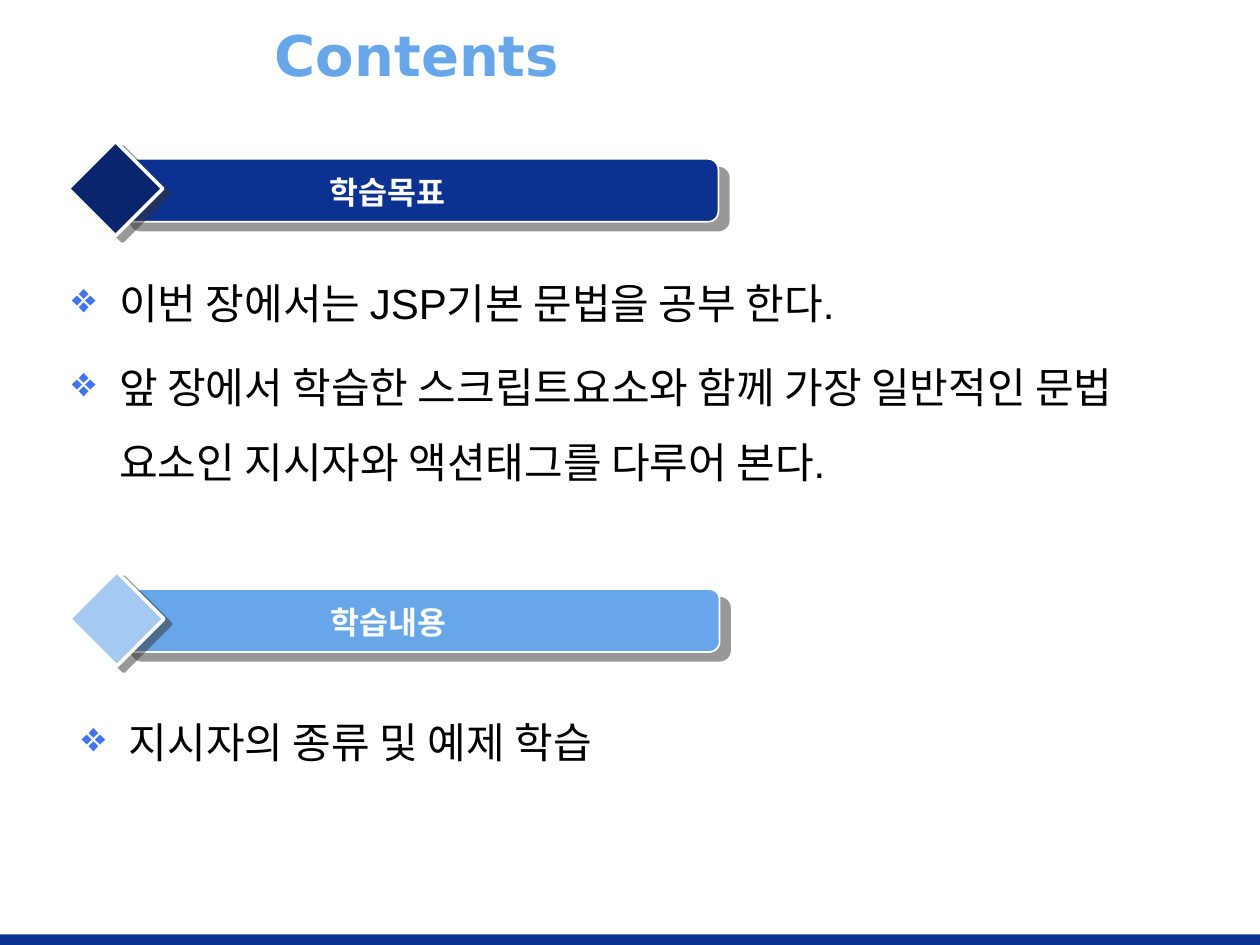
from lxml.etree import SubElement
from pptx import Presentation
from pptx.dml.color import RGBColor
from pptx.enum.shapes import MSO_SHAPE
from pptx.enum.text import MSO_ANCHOR, MSO_AUTO_SIZE, PP_ALIGN
from pptx.oxml.ns import qn
from pptx.util import Pt

HUES = {
    "navy": "0B3191",
    "dark": "08256D",
    "sky": "68A6EA",
    "pale": "A4CAF2",
    "mark": "4173F1",
    "shade": "333333",
    "white": "FFFFFF",
    "black": "000000",
}
TITLE = {"size": Pt(32), "name": "DejaVu Sans", "bold": True}
LABEL = {"size": Pt(18), "name": "Arial", "bold": True}
BODY = {"size": Pt(24), "name": "Arial"}
SPACE = {"line_spacing": 1.5, "space_before": Pt(4.8)}
WRAP = {"word_wrap": True}


def style(item, values):
    for key, value in values.items():
        setattr(item, key, value)


def tint(hue):
    return RGBColor.from_string(HUES[hue])


def write(para, text, font, hue):
    run = para.add_run()
    run.text = text
    style(run.font, font)
    run.font.color.rgb = tint(hue)


def add_text(shapes, box, frame):
    body = shapes.add_textbox(*map(Pt, box)).text_frame
    style(body, frame)
    return body


def add_form(shapes, kind, box, hue, edge=0):
    form = shapes.add_shape(kind, *map(Pt, box))
    form.shadow.inherit = False
    form.fill.solid()
    form.fill.fore_color.rgb = tint(hue)
    if edge:
        form.line.color.rgb = tint("white")
        form.line.width = Pt(edge)
    else:
        form.line.fill.background()
    return form


def add_shade(form, reach, angle):
    effects = form._element.spPr.find(qn("a:effectLst"))
    outer = SubElement(effects, qn("a:outerShdw"), blurRad="0",
                       dist=str(Pt(reach)), dir=str(angle * 60000),
                       algn="ctr", rotWithShape="0")
    color = SubElement(outer, qn("a:srgbClr"), val=HUES["shade"])
    SubElement(color, qn("a:alpha"), val="50000")


def add_title(slide, box, text):
    body = add_text(slide.shapes, box,
                    WRAP | {"vertical_anchor": MSO_ANCHOR.MIDDLE})
    write(body.paragraphs[0], text, TITLE, "sky")


def add_banner(slide, box, text, hue, gem):
    left, top, width, height = box
    shapes = slide.shapes.add_group_shape().shapes
    bar = add_form(shapes, MSO_SHAPE.ROUNDED_RECTANGLE,
                   (left + 29.5, top + 10, width - 29.5, 36), hue, 1)
    add_shade(bar, 7.8, 40)
    stone = add_form(shapes, MSO_SHAPE.DIAMOND,
                     (left, top, height, height), gem, 2)
    add_shade(stone, 5, 37)
    body = add_text(shapes, (left + 47.5, top + 14.4, 270, 29),
                    WRAP | {"auto_size": MSO_AUTO_SIZE.SHAPE_TO_FIT_TEXT})
    para = body.paragraphs[0]
    para.alignment = PP_ALIGN.CENTER
    write(para, text, LABEL, "white")


def add_list(slide, box, lines, font):
    body = add_text(slide.shapes, box, WRAP)
    for place, line in enumerate(lines):
        para = body.add_paragraph() if place else body.paragraphs[0]
        style(para, SPACE)
        props = para._p.get_or_add_pPr()
        props.set("marL", str(Pt(27)))
        props.set("indent", str(Pt(-27)))
        color = SubElement(props, qn("a:buClr"))
        SubElement(color, qn("a:srgbClr"), val=HUES["mark"])
        SubElement(props, qn("a:buChar"), char="❖")
        write(para, line, font, "black")


def main():
    deck = Presentation()
    style(deck, {"slide_width": Pt(720), "slide_height": Pt(540)})
    slide = deck.slides.add_slide(deck.slide_layouts[6])
    add_form(slide.shapes, MSO_SHAPE.RECTANGLE, (0, 534, 720, 6), "navy")
    add_title(slide, (150, 8.5, 516, 45), "Contents")
    add_banner(slide, (39, 80.8, 371.5, 54), "학습목표", "navy", "dark")
    add_banner(slide, (39.7, 326.6, 371.5, 54), "학습내용", "sky", "pale")
    add_list(slide, (34, 140.5, 641.5, 140.5), [
        "이번 장에서는 JSP기본 문법을 공부 한다.",
        "앞 장에서 학습한 스크립트요소와 함께 가장 일반적인 문법 "
        "요소인 지시자와 액션태그를 다루어 본다.",
    ], BODY)
    add_list(slide, (39.6, 391.7, 579.6, 129.6),
             ["지시자의 종류 및 예제 학습"], BODY | {"name": "DejaVu Sans"})
    deck.save("out.pptx")


if __name__ == "__main__":
    main()
